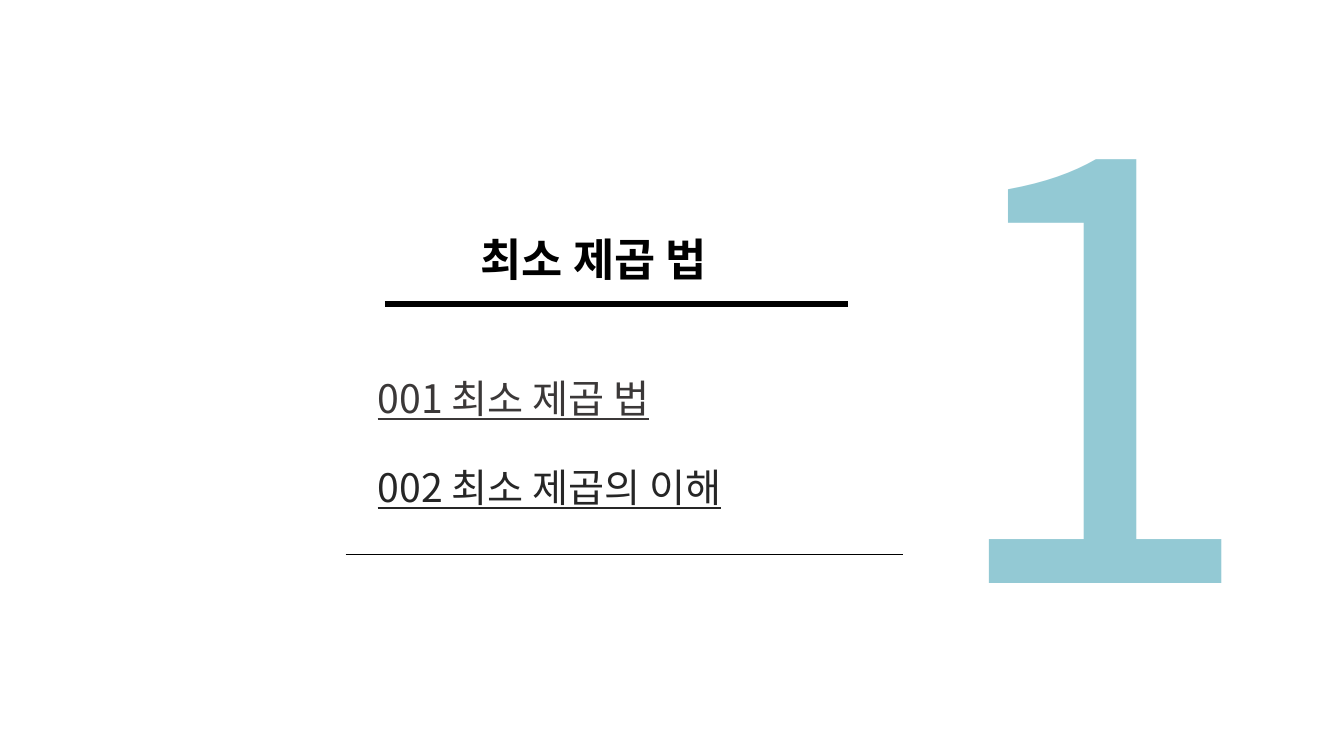
from lxml.etree import SubElement
from pptx import Presentation
from pptx.dml.color import RGBColor
from pptx.enum.shapes import MSO_CONNECTOR
from pptx.enum.text import MSO_AUTO_SIZE
from pptx.oxml.ns import qn
from pptx.util import Cm, Pt

FONT = "Noto Sans CJK KR"
BLACK = RGBColor(0x00, 0x00, 0x00)
DARK_GRAY = RGBColor(0x3B, 0x38, 0x38)
CHARCOAL = RGBColor(0x26, 0x26, 0x26)
PALE_TEAL = RGBColor(0x93, 0xC9, 0xD4)

TOPICS = [
    ("001 최소 제곱 법", 8.2, DARK_GRAY),
    ("002 최소 제곱의 이해", 10.19, CHARCOAL),
]


def add_text(slide, box, text, size, color, bold=None, underline=None):
    """Add one unwrapped line of text; box is left, top, width, height in cm."""
    shape = slide.shapes.add_textbox(*map(Cm, box))
    frame = shape.text_frame
    frame.word_wrap = False
    frame.auto_size = MSO_AUTO_SIZE.SHAPE_TO_FIT_TEXT
    run = frame.paragraphs[0].add_run()
    run.text = text
    font = run.font
    font.name = FONT
    font.size = Pt(size)
    font.bold = bold
    font.underline = underline
    font.color.rgb = color
    # Korean glyphs take their typeface from the East Asian slot.
    run.font.language_id = None
    properties = run._r.get_or_add_rPr()
    SubElement(properties, qn("a:ea")).set("typeface", FONT)


def add_rule(slide, left, top, width, weight):
    """Add a horizontal black line, measured in cm, with its weight in points."""
    rule = slide.shapes.add_connector(
        MSO_CONNECTOR.STRAIGHT, Cm(left), Cm(top), Cm(left + width), Cm(top)
    )
    rule.line.color.rgb = BLACK
    rule.line.width = Pt(weight)
    SubElement(rule._element.spPr, qn("a:effectLst"))


def add_chapter_number(slide, box, number):
    add_text(slide, box, number, 413, PALE_TEAL)


def add_heading(slide, left, top, title):
    add_text(slide, (left + 2.16, top, 7.01, 1.63), title, 32, BLACK, bold=True)
    add_rule(slide, left, top + 1.93, 11.66, 4.25)


def add_topics(slide, left, top, topics):
    """List the topics at equal steps and close the list with a thin rule."""
    step = 2.24
    for index, (text, width, color) in enumerate(topics):
        box = (left + 0.56, top + index * step, width, 1.45)
        add_text(slide, box, text, 28, color, underline=True)
    add_rule(slide, left, top + len(topics) * step + 0.19, 14.05, 0.25)


def main():
    presentation = Presentation()
    presentation.slide_width = Cm(33.87)
    presentation.slide_height = Cm(19.05)
    slide = presentation.slides.add_slide(presentation.slide_layouts[6])
    add_chapter_number(slide, (23.39, 0, 9.7, 17.91), "1")
    add_heading(slide, 9.7, 5.72, "최소 제곱 법")
    add_topics(slide, 8.71, 9.3, TOPICS)
    presentation.save("out.pptx")


if __name__ == "__main__":
    main()
